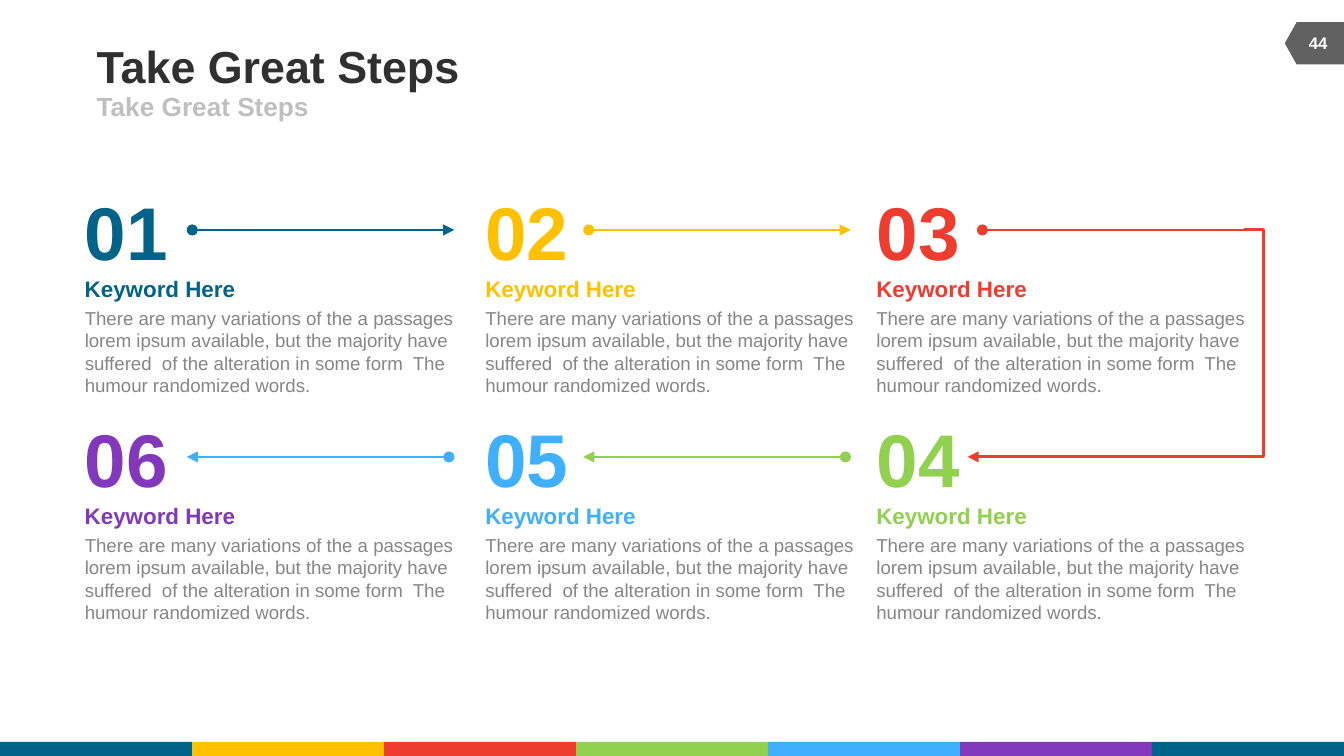
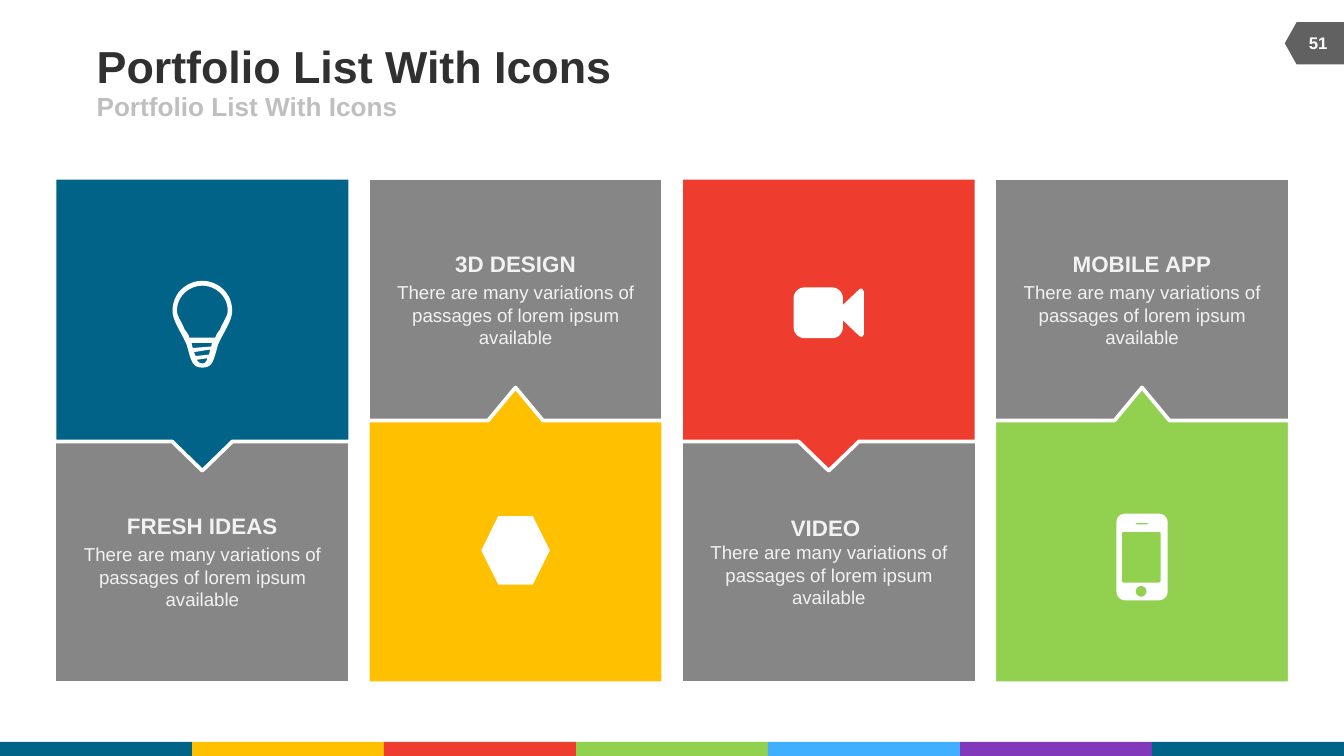
from math import cos, pi, sin

from lxml.etree import SubElement
from pptx import Presentation
from pptx.dml.color import RGBColor
from pptx.enum.shapes import MSO_CONNECTOR, MSO_SHAPE
from pptx.enum.text import MSO_ANCHOR, MSO_AUTO_SIZE, PP_ALIGN
from pptx.oxml.ns import qn
from pptx.util import Pt

# Shared style
TEAL = RGBColor(0x00, 0x63, 0x87)
GOLD = RGBColor(0xFF, 0xC0, 0x00)
RED = RGBColor(0xEE, 0x3C, 0x2E)
GREEN = RGBColor(0x92, 0xD0, 0x50)
BLUE = RGBColor(0x40, 0xAF, 0xFF)
PURPLE = RGBColor(0x82, 0x38, 0xBA)
WHITE = RGBColor(0xFF, 0xFF, 0xFF)
PALE = RGBColor(0xF2, 0xF2, 0xF2)
SILVER = RGBColor(0xBF, 0xBF, 0xBF)
GREY = RGBColor(0x86, 0x86, 0x86)
SLATE = RGBColor(0x61, 0x61, 0x61)
INK = RGBColor(0x30, 0x30, 0x30)
FONT = "Arial"
WIDE, HIGH = 720, 405
BAND = (TEAL, GOLD, RED, GREEN, BLUE, PURPLE, TEAL)

# Steps slide
COLS = (45.4, 260, 469.5)
ROWS = (99.4, 221)
RAIL = 23.8  # arrow height below the top of a row
STEPS = (
    (("01", TEAL), ("02", GOLD), ("03", RED)),
    (("06", PURPLE), ("05", BLUE), ("04", GREEN)),
)
ARROWS = (  # row, from, to, colour, has a tip
    (0, 103, 243.4, TEAL, True),
    (0, 315.4, 455.8, GOLD, True),
    (0, 526.3, 666.7, RED, False),
    (1, 452.9, 312.5, GREEN, True),
    (1, 240.5, 100.1, BLUE, True),
)
STORY = ("There are many variations of the a passages lorem ipsum available, "
         "but the majority have suffered  of the alteration in some form  "
         "The humour randomized words.")

# Cards slide
CARD_W, CARD_H = 158.4, 130.3
PITCH = 167.8
BLURB = "There are many variations of passages of lorem ipsum available"


def box(shape):
    return Pt(shape[0]), Pt(shape[1]), Pt(shape[2]), Pt(shape[3])


def add_run(para, text, size, color, bold=False):
    run = para.add_run()
    run.text = text
    font = run.font
    font.name, font.size, font.bold = FONT, Pt(size), bold
    font.color.rgb = color


def set_frame(frame, wrap=False, grow=False, anchor=MSO_ANCHOR.MIDDLE):
    frame.margin_left = frame.margin_right = 0
    frame.margin_top = frame.margin_bottom = 0
    frame.word_wrap = wrap
    frame.vertical_anchor = anchor
    frame.auto_size = (MSO_AUTO_SIZE.SHAPE_TO_FIT_TEXT if grow
                       else MSO_AUTO_SIZE.NONE)


def add_text(slide, area, text, size, color, bold=True, align=PP_ALIGN.LEFT,
             before=0, **style):
    frame = slide.shapes.add_textbox(*box(area)).text_frame
    set_frame(frame, **style)
    para = frame.paragraphs[0]
    para.alignment, para.space_before = align, Pt(before)
    add_run(para, text, size, color, bold)


def paint(shape, fill, line=None):
    shape.shadow.inherit = False
    if fill is None:
        shape.fill.background()
    else:
        shape.fill.solid()
        shape.fill.fore_color.rgb = fill
    if line is None:
        shape.line.fill.background()
    else:
        shape.line.color.rgb = line
        shape.line.width = Pt(2)


def add_block(slide, kind, area, fill, line=None, adjust=()):
    shape = slide.shapes.add_shape(kind, *box(area))
    for i, value in enumerate(adjust):
        shape.adjustments[i] = value
    paint(shape, fill, line)
    return shape


def add_line(slide, start, end, color, head=None, tail=None, bend=None):
    kind = MSO_CONNECTOR.STRAIGHT if bend is None else MSO_CONNECTOR.ELBOW
    line = slide.shapes.add_connector(
        kind, Pt(start[0]), Pt(start[1]), Pt(end[0]), Pt(end[1]))
    line.line.color.rgb = color
    line.line.width = Pt(1.5)
    props = line._element.spPr
    stroke = props.find(qn("a:ln"))
    for tag, tip in (("a:headEnd", head), ("a:tailEnd", tail)):
        if tip:
            SubElement(stroke, qn(tag), type=tip)
    SubElement(props, qn("a:effectLst"))
    if bend is not None:
        guides = props.find(qn("a:prstGeom")).find(qn("a:avLst"))
        SubElement(guides, qn("a:gd"), name="adj1",
                   fmla=f"val {round(bend * 100000)}")


# Title, subtitle, colour band and page tag
def add_page(deck, title, number):
    slide = deck.slides.add_slide(deck.slide_layouts.get_by_name("Title Only"))
    for i, color in enumerate(BAND):
        width = WIDE / len(BAND)
        add_block(slide, MSO_SHAPE.RECTANGLE,
                  (i * width, HIGH - 7.5, width, 7.5), color)
    tag = add_block(slide, MSO_SHAPE.FLOWCHART_OFFPAGE_CONNECTOR,
                    (692.8, 7.4, 22.6, 31.6), SLATE)
    tag.rotation = 90

    head = slide.shapes.title
    head.left, head.top, head.width, head.height = box((51.8, 20.9, 444, 28))
    set_frame(head.text_frame)
    para = head.text_frame.paragraphs[0]
    para.alignment = PP_ALIGN.LEFT
    add_run(para, title, 24, INK, True)
    add_text(slide, (51.8, 49, 324, 15.8), title, 14, SILVER, before=2.8)
    add_text(slide, (691.2, 12.4, 30, 21.6), number, 9, WHITE,
             align=PP_ALIGN.CENTER)
    return slide


# One numbered step with its keyword and story
def add_step(slide, left, top, number, color):
    add_text(slide, (left, top, 44.6, 48.2), number, 40, color, before=8,
             align=PP_ALIGN.CENTER, grow=True, anchor=MSO_ANCHOR.TOP)
    add_text(slide, (left, top + 48.2, 81, 14.4), "Keyword Here", 12, color,
             grow=True)
    add_text(slide, (left, top + 64.8, 197.5, 48), STORY, 10, GREY, False,
             wrap=True, grow=True, anchor=MSO_ANCHOR.TOP)


def steps_slide(deck):
    slide = add_page(deck, "Take Great Steps", "44")
    for top, row in zip(ROWS, STEPS):
        for left, (number, color) in zip(COLS, row):
            add_step(slide, left, top, number, color)
    high, low = (top + RAIL for top in ROWS)
    for row, start, end, color, tip in ARROWS:
        y = (high, low)[row]
        add_line(slide, (start, y), (end, y), color, "oval",
                 "triangle" if tip else None)
    add_line(slide, (666.7, high), (518.4, low), RED, tail="triangle",
             bend=-0.07)


# Outlines of the icons, in points from the icon's corner
def curve(start, *parts):
    points = [start]
    for a, b, c, d, x, y in parts:
        u, v = points[-1]
        for i in range(1, 13):
            t = i / 12
            s = 1 - t
            k = (s ** 3, 3 * s * s * t, 3 * s * t * t, t ** 3)
            points.append((k[0] * u + k[1] * a + k[2] * c + k[3] * x,
                           k[0] * v + k[1] * b + k[2] * d + k[3] * y))
    return points


def rounded(left, top, width, height, radius):
    points = []
    for turn in range(4):
        x = left + (width - radius if turn in (0, 3) else radius)
        y = top + (height - radius if turn < 2 else radius)
        for i in range(9):
            angle = (turn + i / 8) * pi / 2
            points.append((x + radius * cos(angle), y + radius * sin(angle)))
    return points


BULB = (
    curve((16, 0), (7.2, 0, 0, 7, 0, 16), (0, 21.5, 5, 28, 7.5, 34),
          (10, 42, 10, 46.5, 16, 46.5), (22, 46.5, 22, 42, 24.5, 34),
          (27, 28, 32, 21.5, 32, 16), (32, 7, 24.8, 0, 16, 0)),
    curve((9, 30.5), (9, 29.5, 8, 28, 6.5, 26), (5, 22, 2.4, 19, 2.4, 16),
          (2.4, 8.5, 8.6, 2.6, 16, 2.6), (23.4, 2.6, 29.6, 8.5, 29.6, 16),
          (29.6, 19, 27, 22, 25.5, 26), (24, 28, 23, 29.5, 23, 30.5)),
    [(10.2, 33.2), (21.2, 33.2), (20.8, 35.2), (10.8, 36)],
    [(11.5, 38.2), (20.2, 36.8), (19.6, 39.5), (12.4, 40.3)],
    curve((18.7, 41.5), (18, 43.7, 17.3, 44.2, 16, 44.2),
          (14.6, 44.2, 13.7, 43.5, 13, 42.3)),
)
CAMERA = (
    rounded(0, 0, 26.4, 27.2, 5.8),
    [(26.4, 9.4), (35.4, 0.8), (36.6, 0.6), (37.6, 2),
     (37.6, 25.2), (36.6, 26.6), (35.4, 26.2), (26.4, 17.6)],
)
PHONE = (
    rounded(0, 0, 27.4, 46.4, 4.6),
    rounded(2.9, 9.7, 20.8, 27.2, 1),
    rounded(10.3, 4.9, 6.6, 0.8, 0.4),
    rounded(10.3, 38.7, 5.8, 5.8, 2.9),
)


def add_icon(slide, center, top, width, outlines):
    units = [[(round(x * 100), round(y * 100)) for x, y in line]
             for line in outlines]
    pen = slide.shapes.build_freeform(*units[0][0], scale=127)
    pen.add_line_segments(units[0][1:])
    for line in units[1:]:
        pen.move_to(*line[0])
        pen.add_line_segments(line[1:])
    paint(pen.convert_to_shape(Pt(center - width / 2), Pt(top)), WHITE)


def add_cube(slide, center, top, size):
    area = (center - size / 2, top, size, size)
    add_block(slide, MSO_SHAPE.HEXAGON, area, WHITE)


# One card: a grey text panel and a coloured callout that points at it
def add_card(slide, left, top, title, color, down, broken=False):
    if down:
        kind, adjust = MSO_SHAPE.DOWN_ARROW_CALLOUT, (0.236, 0.103, 0.1, 0.9)
        panel, start, height = top + 140.4, top, 157
    else:
        kind, adjust = MSO_SHAPE.UP_ARROW_CALLOUT, (0.25, 0.093, 0.112, 0.888)
        panel, start, height = top, top + 112.4, 158.4
    plate = add_block(slide, MSO_SHAPE.RECTANGLE,
                      (left, panel, CARD_W, CARD_H), GREY, WHITE)
    frame = plate.text_frame
    frame.word_wrap, frame.vertical_anchor = True, MSO_ANCHOR.MIDDLE
    para = frame.paragraphs[0]
    para.space_before = Pt(2.4)
    add_run(para, title, 12, PALE, True)
    if broken:
        para.add_line_break()
    else:
        para = frame.add_paragraph()
        para.space_before = Pt(2)
    add_run(para, BLURB, 10, PALE)
    for para in frame.paragraphs:
        para.alignment = PP_ALIGN.CENTER
    add_block(slide, kind, (left, start, CARD_W, height), color, WHITE, adjust)


def cards_slide(deck):
    slide = add_page(deck, "Portfolio List With Icons", "51")
    left, top = 29.2, 95.2
    cards = (("FRESH IDEAS", TEAL), ("3D DESIGN", GOLD),
             ("VIDEO ", RED), ("MOBILE APP", GREEN))
    for i, (title, color) in enumerate(cards):
        add_card(slide, left + i * PITCH, top, title, color,
                 down=i % 2 == 0, broken=color == RED)
    mids = [left + i * PITCH + CARD_W / 2 for i in range(len(cards))]
    add_icon(slide, mids[0], top + 55.3, 32, BULB)
    add_cube(slide, mids[1], top + 181.3, 36.8)
    add_icon(slide, mids[2], top + 58.8, 37.6, CAMERA)
    add_icon(slide, mids[3], top + 180, 27.4, PHONE)


def main():
    deck = Presentation()
    deck.slide_width, deck.slide_height = Pt(WIDE), Pt(HIGH)
    steps_slide(deck)
    cards_slide(deck)
    deck.save("out.pptx")


if __name__ == "__main__":
    main()
